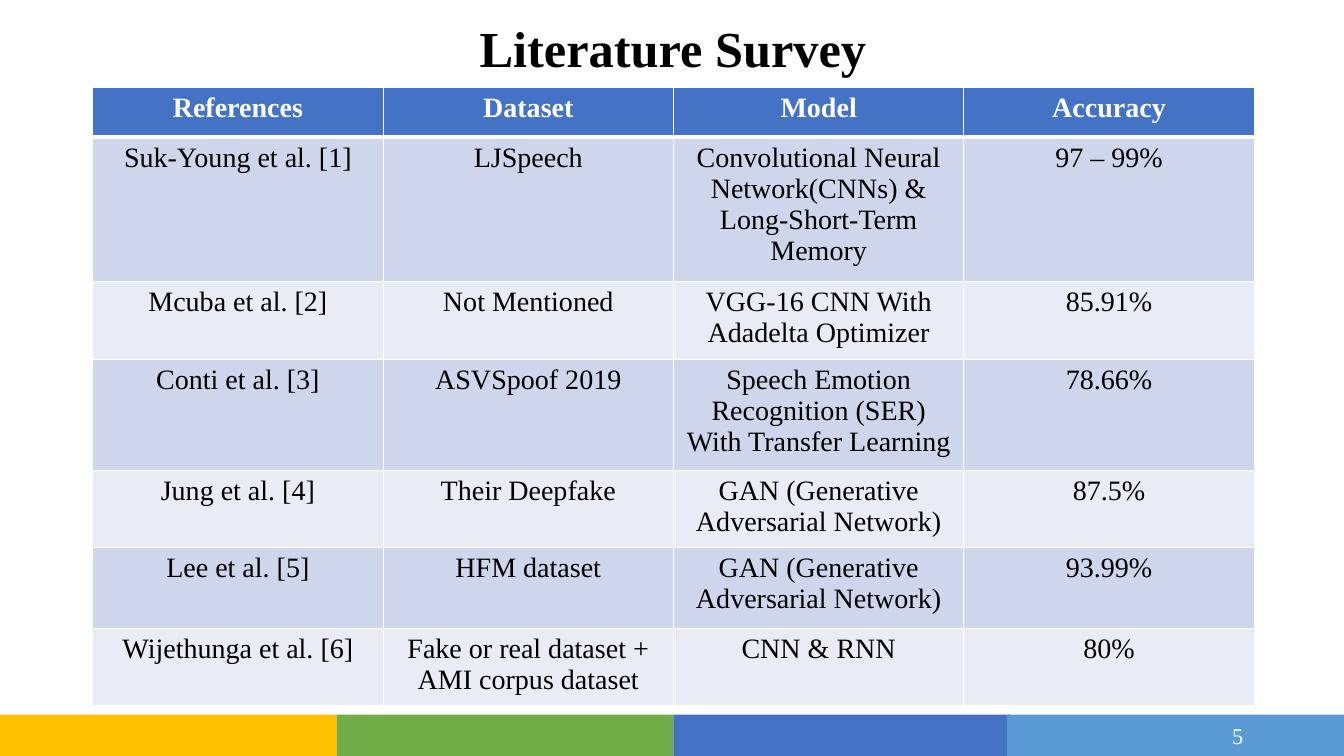
import pptx
import pptx.util
import pptx.dml.color
import pptx.enum.shapes
import pptx.enum.text
import pptx.oxml.ns
import lxml.etree

Inches = pptx.util.Inches
Align = pptx.enum.text.PP_ALIGN
Anchor = pptx.enum.text.MSO_ANCHOR

# Content
TITLE = "Literature Survey"
PAGE = "5"
ROWS = [
    ("References", "Dataset", "Model", "Accuracy"),
    ("Suk-Young et al. [1]", "LJSpeech",
     "Convolutional Neural Network(CNNs) & Long-Short-Term Memory", "97 – 99%"),
    ("Mcuba et al. [2]", "Not Mentioned",
     "VGG-16 CNN With Adadelta Optimizer", "85.91%"),
    ("Conti et al. [3]", "ASVSpoof 2019",
     "Speech Emotion Recognition (SER) With Transfer Learning", "78.66%"),
    ("Jung et al. [4]", "Their Deepfake",
     "GAN (Generative Adversarial Network)", "87.5%"),
    ("Lee et al. [5]", "HFM dataset",
     "GAN (Generative Adversarial Network)", "93.99%"),
    ("Wijethunga et al. [6]", "Fake or real dataset + AMI corpus dataset",
     "CNN & RNN", "80%"),
]
HEIGHTS = [0.49, 1.41, 0.77, 1.08, 0.75, 0.8, 0.75]
WIDTH = 2.88
BANDS = [(0, "FFC000"), (3.34, "70AD47"), (6.68, "4472C4"), (9.99, "5B9BD5")]
HEAD, ODD, EVEN = "4472C4", "CFD5EA", "E9EBF5"

# Formats
FONT = {"name": "Times New Roman", "bold": False}
BIG = {**FONT, "size": pptx.util.Pt(36), "bold": True}
BODY = {**FONT, "size": pptx.util.Pt(20)}
TOP = {**BODY, "bold": True}
SMALL = {**FONT, "size": pptx.util.Pt(16)}


def color(code):
    return pptx.dml.color.RGBColor.from_string(code)


def paint(item, code):
    item.fill.solid()
    item.fill.fore_color.rgb = color(code)


def write(frame, text, form, code, align):
    para = frame.paragraphs[0]
    para.alignment = align
    run = para.add_run()
    run.text = text
    for key, value in form.items():
        setattr(run.font, key, value)
    run.font.color.rgb = color(code)
    return para


def label(slide, box, text, form, code, align):
    frame = slide.shapes.add_textbox(*map(Inches, box)).text_frame
    frame.word_wrap = True
    frame.vertical_anchor = Anchor.MIDDLE
    return write(frame, text, form, code, align)


def border(cell, sides):
    props = cell._tc.get_or_add_tcPr()
    for side, width in sides.items():
        line = lxml.etree.SubElement(props, pptx.oxml.ns.qn("a:ln" + side),
                                     w=str(pptx.util.Pt(width)))
        fill = lxml.etree.SubElement(line, pptx.oxml.ns.qn("a:solidFill"))
        lxml.etree.SubElement(fill, pptx.oxml.ns.qn("a:srgbClr"), val="FFFFFF")


def main():
    deck = pptx.Presentation()
    deck.slide_width, deck.slide_height = Inches(13.33), Inches(7.5)
    slide = deck.slides.add_slide(deck.slide_layouts[6])

    # Footer bands
    for left, code in BANDS:
        band = slide.shapes.add_shape(
            pptx.enum.shapes.MSO_SHAPE.RECTANGLE,
            *map(Inches, (left, 7.09, 3.34, 0.41)))
        band.shadow.inherit = False
        paint(band, code)
        band.line.fill.background()

    # Title
    para = label(slide, (0.92, -0.02, 11.51, 1.06), TITLE, BIG, "000000",
                 Align.CENTER)
    para.line_spacing = 0.9

    # Survey table
    table = slide.shapes.add_table(
        len(ROWS), len(ROWS[0]),
        *map(Inches, (0.92, 0.87, WIDTH * len(ROWS[0]), sum(HEIGHTS)))).table
    for col in table.columns:
        col.width = Inches(WIDTH)
    for i, (row, height) in enumerate(zip(ROWS, HEIGHTS)):
        table.rows[i].height = Inches(height)
        fill = HEAD if i == 0 else ODD if i % 2 else EVEN
        form, code = (TOP, "FFFFFF") if i == 0 else (BODY, "000000")
        sides = {"L": 1, "R": 1, "T": 3 if i == 1 else 1,
                 "B": 3 if i == 0 else 1}
        for j, text in enumerate(row):
            cell = table.cell(i, j)
            border(cell, sides)
            paint(cell, fill)
            write(cell.text_frame, text, form, code, Align.CENTER)

    # Page number
    label(slide, (9.43, 7.1, 3, 0.4), PAGE, SMALL, "FFFFFF", Align.RIGHT)

    deck.save("out.pptx")


if __name__ == "__main__":
    main()
